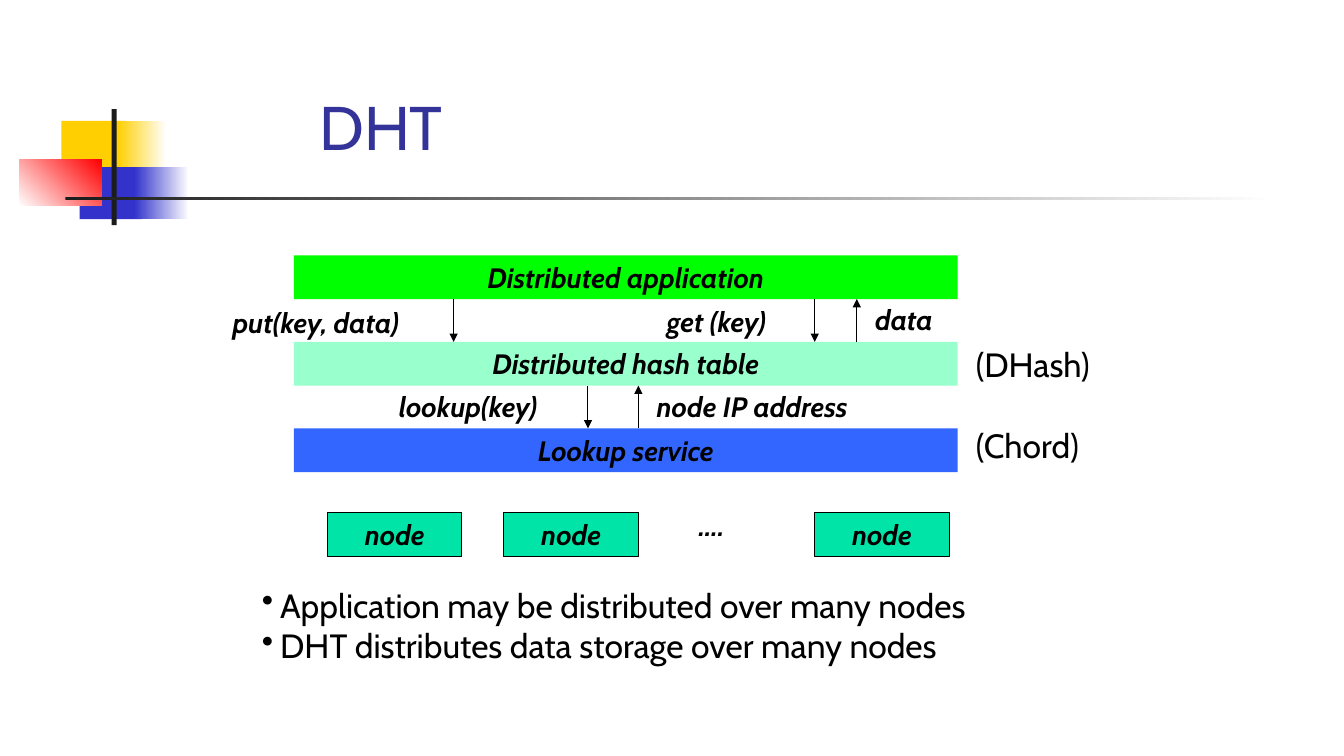
from dataclasses import dataclass

from lxml import etree
from pptx import Presentation
from pptx import util as u
from pptx.dml.color import RGBColor
from pptx.enum import shapes, text
from pptx.oxml.ns import qn


@dataclass(frozen=True)
class Theme:
    font: str = "Cabin"
    title_size: int = 44
    body_size: int = 24
    label_size: int = 20
    title: str = "333399"
    ink: str = "000000"
    paper: str = "FFFFFF"
    rule: str = "1C1C1C"
    yellow: str = "FFCF01"
    blue: str = "3333CC"
    red: str = "FF0000"
    application: str = "00FF00"
    hash_table: str = "99FFCC"
    lookup: str = "3366FF"
    node: str = "00E4A8"


COLS, ROWS = 160, 90


class Deck:
    """Draws on one slide, with lengths in grid columns and rows."""

    def __init__(self, theme):
        self.t = theme
        self.prs = Presentation()
        self.prs.slide_width, self.prs.slide_height = u.Inches(13.33), u.Inches(7.5)
        self.s = self.prs.slides.add_slide(self.prs.slide_layouts[6])

    def x(self, cols):
        return round(self.prs.slide_width * cols / COLS)

    def y(self, rows):
        return round(self.prs.slide_height * rows / ROWS)

    def box(self, x, y, w, h):
        return self.x(x), self.y(y), self.x(w), self.y(h)

    def style(self, tf, size, color=None, strong=False, align=None):
        tf.word_wrap = True
        for p in tf.paragraphs:
            p.alignment = align
            for r in p.runs:
                r.font.name, r.font.size = self.t.font, u.Pt(size)
                r.font.bold = r.font.italic = strong
                r.font.color.rgb = RGBColor.from_string(color or self.t.ink)

    def rect(self, x, y, w, h, fill, label="", outlined=False):
        sp = self.s.shapes.add_shape(shapes.MSO_SHAPE.RECTANGLE, *self.box(x, y, w, h))
        sp.shadow.inherit = False
        sp.fill.solid()
        sp.fill.fore_color.rgb = RGBColor.from_string(fill)
        if outlined:
            sp.line.color.rgb = RGBColor.from_string(self.t.ink)
            sp.line.width = u.Pt(0.75)
        else:
            sp.line.fill.background()
        if label:
            tf = sp.text_frame
            tf.text = label
            tf.vertical_anchor = text.MSO_ANCHOR.MIDDLE
            self.style(tf, self.t.label_size, strong=True, align=text.PP_ALIGN.CENTER)
        return sp

    def fade(self, x, y, w, h, start, end, angle=0):
        fill = self.rect(x, y, w, h, start).fill
        fill.gradient()
        fill.gradient_angle = angle
        for stop, color in zip(fill.gradient_stops, (start, end)):
            stop.color.rgb = RGBColor.from_string(color)

    def text(self, x, y, w, h, words, size, **look):
        tf = self.s.shapes.add_textbox(*self.box(x, y, w, h)).text_frame
        tf.text = words
        self.style(tf, size, **look)
        return tf

    def label(self, x, y, w, words):
        self.text(x, y, w, 5.2, words, self.t.label_size, strong=True)

    def bullets(self, x, y, w, h, items):
        tf = self.text(x, y, w, h, "\n".join(items), self.t.body_size)
        for p in tf.paragraphs:
            pPr = p._p.get_or_add_pPr()
            pPr.set("marL", str(u.Inches(0.18)))
            pPr.set("indent", str(-u.Inches(0.18)))
            etree.SubElement(pPr, qn("a:buChar"), char="•")

    def arrow(self, x, start, end):
        c = self.s.shapes.add_connector(
            shapes.MSO_CONNECTOR.STRAIGHT, self.x(x), self.y(start), self.x(x), self.y(end))
        c.line.color.rgb = RGBColor.from_string(self.t.ink)
        c.line.width = u.Pt(0.75)
        etree.SubElement(c.line._get_or_add_ln(), qn("a:tailEnd"), type="triangle")
        etree.SubElement(c._element.spPr, qn("a:effectLst"))


def main():
    t = Theme()
    d = Deck(t)

    # Corner ornament and title rule
    d.rect(7.3, 14.4, 7.7, 6.2, t.yellow)
    d.fade(14, 14.4, 5.8, 6.2, t.yellow, t.paper)
    d.rect(9.5, 19.9, 7.4, 6.2, t.blue)
    d.fade(16, 19.9, 6.5, 6.2, t.blue, t.paper)
    d.fade(2.3, 19, 9.8, 5.5, t.paper, t.red, angle=45)
    d.rect(13.3, 13, 0.6, 13.8, t.rule)
    d.fade(7.8, 23.4, 144, 0.4, t.rule, t.paper)

    # Title
    tf = d.text(29, 5, 102, 15, "DHT", t.title_size, color=t.title)
    tf.margin_left = u.Inches(0.75)
    tf.vertical_anchor = text.MSO_ANCHOR.BOTTOM

    # Three layers at an equal pitch
    top, pitch, height = 30.4, 10.3, 5.2
    layers = [("Distributed application", t.application),
              ("Distributed hash table", t.hash_table),
              ("Lookup service", t.lookup)]
    for i, (name, fill) in enumerate(layers):
        d.rect(35, top + i * pitch, 79, height, fill, name)

    # Calls between the layers
    upper = (top + height, top + pitch)
    lower = (upper[0] + pitch, upper[1] + pitch)
    for x, (start, end) in [(54, upper), (97, upper), (102, upper[::-1]),
                            (70, lower), (76, lower[::-1])]:
        d.arrow(x, start, end)
    for x, y, w, words in [(26.5, 35.8, 26.4, "put(key, data)"),
                           (78.2, 35.6, 17.8, "get (key)"),
                           (103, 35.4, 9.8, "data"),
                           (46.3, 45.8, 22.7, "lookup(key)"),
                           (77, 45.8, 29.5, "node IP address")]:
        d.label(x, y, w, words)

    # Example systems
    for y, w, words in [(40.4, 17, "(DHash)"), (50, 16, "(Chord)")]:
        d.text(115, y, w, 6, words, t.body_size)

    # Nodes
    for x in (39, 60, 97):
        d.rect(x, 61, 16, 5.3, t.node, "node", outlined=True)
    d.label(82, 60, 6.8, "….")

    # Remarks
    d.bullets(30, 69, 91.3, 10.9, ["Application may be distributed over many nodes",
                                   "DHT distributes data storage over many nodes"])

    d.prs.save("out.pptx")


if __name__ == "__main__":
    main()
